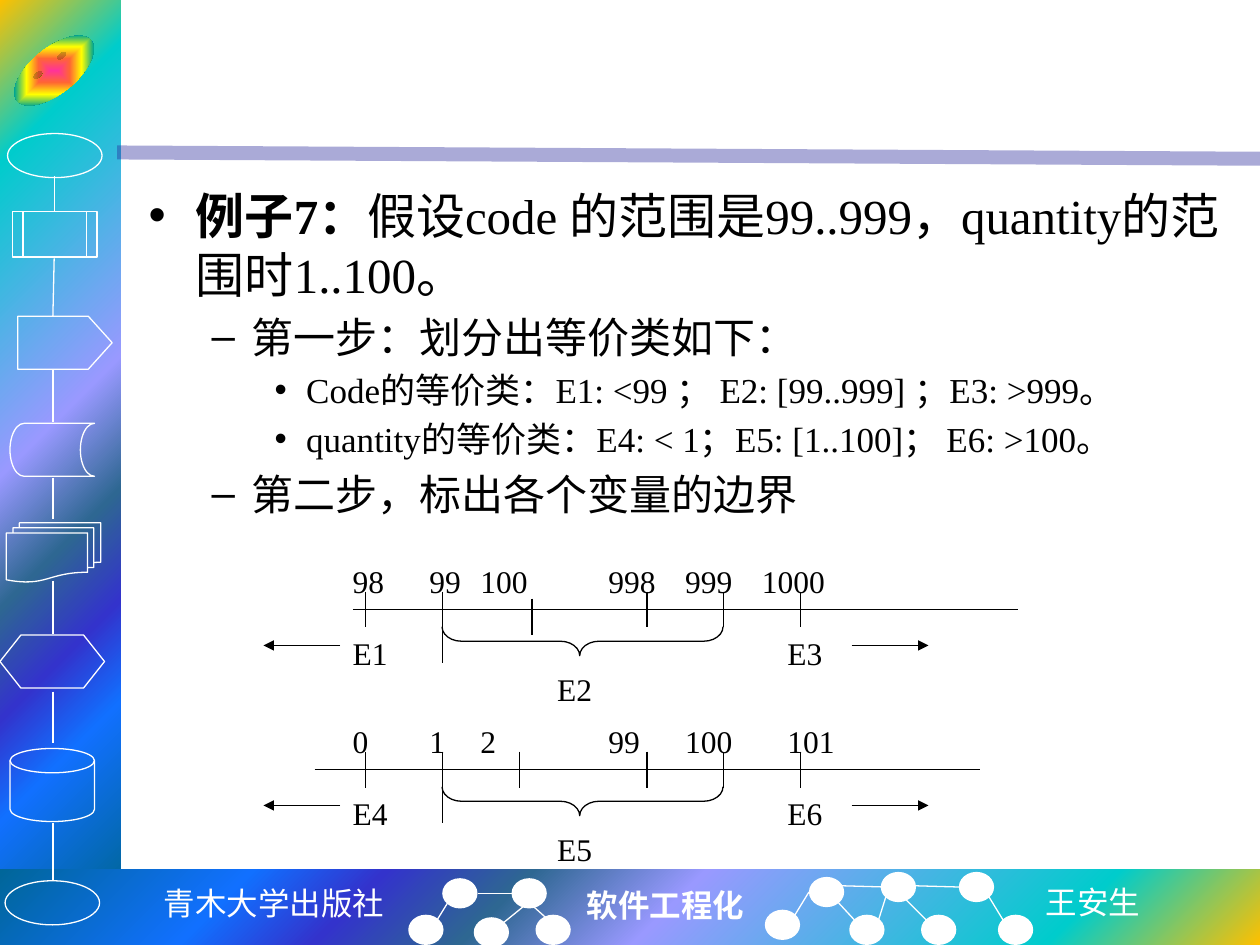
import pptx
import pptx.util
import pptx.oxml
import pptx.oxml.ns
import pptx.dml.color
import pptx.enum.shapes
import pptx.enum.text

RGBColor = pptx.dml.color.RGBColor
Kind = pptx.enum.shapes.MSO_SHAPE
Align = pptx.enum.text.PP_ALIGN
WHITE = RGBColor(0xFF, 0xFF, 0xFF)
BLACK = RGBColor(0, 0, 0)
RULE_BLUE = RGBColor(0x26, 0x26, 0x99)
RAINBOW = [(0, RGBColor(0xFF, 0xC0, 0x00)), (16, RGBColor(0x00, 0xCC, 0xCC)),
           (47, RGBColor(0x99, 0x99, 0xFF)), (60, RGBColor(0x2E, 0x67, 0x92)),
           (71, RGBColor(0x33, 0x33, 0xCC)), (81, RGBColor(0x11, 0x70, 0xFF)),
           (100, RGBColor(0x00, 0x66, 0x99))]
CANDY = [(0, RGBColor(0xFF, 0x33, 0x99)), (25, RGBColor(0xFF, 0x66, 0x33)),
         (50, RGBColor(0xFF, 0xFF, 0x00)), (75, RGBColor(0x01, 0xA7, 0x8F)),
         (100, RGBColor(0x33, 0x66, 0xFF))]
SERIF, SANS, MONO = "Times New Roman", "Noto Sans CJK SC", "Noto Sans Mono"
WIDTH, HEIGHT = pptx.util.Inches(10), pptx.util.Inches(7.5)
CELL = WIDTH / 10
AXIS_LEFT, AXIS_COLUMN, AXIS_ROW = 2.7, 4.06 / 20, 0.57 / 4


def cells(*values):
    return [round(value * CELL) for value in values]


def xml(tag, content="", **attributes):
    listed = "".join(f' {name}="{value}"' for name, value in attributes.items())
    return pptx.oxml.parse_xml(f"<a:{tag} {pptx.oxml.ns.nsdecls('a')}{listed}>{content}</a:{tag}>")


def add_figure(shapes, kind, box, fill=None, line=None):
    figure = shapes.add_shape(kind, *cells(*box))
    figure.shadow.inherit = False
    if fill is None:
        figure.fill.background()
    else:
        figure.fill.solid()
        figure.fill.fore_color.rgb = fill
    if line is None:
        figure.line.fill.background()
    else:
        figure.line.color.rgb = line
        figure.line.width = pptx.util.Pt(0.75)
    return figure


def set_gradient(figure, stops, style, left, top, right, bottom):
    figure.fill.background()
    marks = "".join(f'<a:gs pos="{share * 1000}"><a:srgbClr val="{color}"/></a:gs>'
                    for share, color in stops)
    focus = f'<a:fillToRect l="{left}000" t="{top}000" r="{right}000" b="{bottom}000"/>'
    gradient = xml("gradFill", f'<a:gsLst>{marks}</a:gsLst><a:path path="{style}">{focus}</a:path>',
                   rotWithShape=1)
    properties = figure.element.spPr
    properties.replace(properties.find(pptx.oxml.ns.qn("a:noFill")), gradient)


def add_line(shapes, start, end, color, width=0.75, arrow=False):
    line = shapes.add_connector(pptx.enum.shapes.MSO_CONNECTOR.STRAIGHT, *cells(*start, *end))
    line.line.color.rgb = color
    line.line.width = pptx.util.Pt(width)
    if arrow:
        line.line._get_or_add_ln().append(xml("tailEnd", type="triangle"))
    line.element.spPr.append(xml("effectLst"))
    return line


def add_span(para, words, size, font, color, bold=False):
    span = para.add_run()
    span.text = words
    span.font.size = pptx.util.Pt(size)
    span.font.name = font
    span.font.bold = bold
    span.font.color.rgb = color
    span.font._element.append(xml("ea", typeface=MONO if font == MONO else SANS))


def add_label(shapes, box, words, font=SERIF, color=BLACK, bold=False, wrap=True, align=Align.LEFT):
    label = shapes.add_textbox(*cells(*box))
    label.text_frame.word_wrap = wrap
    para = label.text_frame.paragraphs[0]
    para.alignment = align
    add_span(para, words, 18, font, color, bold)


def add_bands(shapes):
    for box, focus in [((0, 0, 0.96, 7.09), (0, 0, 100, 100)),
                       ((0, 6.9, 10, 0.6), (100, 100, 0, 0))]:
        set_gradient(add_figure(shapes, Kind.RECTANGLE, box), RAINBOW, "circle", *focus)
    rule = add_line(shapes, (0.93, 1.21), (10, 1.26), RULE_BLUE, 8)
    rule.line.color._xFill.find(pptx.oxml.ns.qn("a:srgbClr")).append(xml("alpha", val=39000))


def add_flowchart(shapes):
    symbols = [(Kind.OVAL, 0.06, 1.06, 0.75, 0.35),
               (Kind.FLOWCHART_PREDEFINED_PROCESS, 0.1, 1.68, 0.67, 0.36),
               (Kind.PENTAGON, 0.14, 2.51, 0.75, 0.42),
               (Kind.FLOWCHART_STORED_DATA, 0.08, 3.36, 0.67, 0.42),
               (Kind.FLOWCHART_MULTIDOCUMENT, 0.05, 4.15, 0.75, 0.47),
               (Kind.FLOWCHART_PREPARATION, 0, 5.04, 0.83, 0.42),
               (Kind.FLOWCHART_MAGNETIC_DISK, 0.08, 5.94, 0.67, 0.58),
               (Kind.OVAL, 0.04, 6.99, 0.75, 0.35)]
    for kind, *box in symbols:
        symbol = add_figure(shapes, kind, box, line=WHITE)
        if kind == Kind.PENTAGON:
            symbol.adjustments[0] = 0.45
    links = [(0.43, 1.4, 0.43, 1.68), (0.43, 2.05, 0.42, 2.51), (0.42, 2.93, 0.42, 3.35),
             (0.42, 3.79, 0.42, 4.12), (0.42, 4.61, 0.42, 5.03), (0.42, 5.49, 0.42, 5.9),
             (0.42, 6.53, 0.42, 6.99)]
    for link in links:
        add_line(shapes, link[:2], link[2:], WHITE)
    face = add_figure(shapes, Kind.SMILEY_FACE, (0.05, 0.38, 0.76, 0.36))
    set_gradient(face, CANDY, "shape", 50, 50, 50, 50)
    face.rotation = 321


def add_trees(shapes):
    nodes = [(3.51, 6.97), (4.06, 6.97), (3.24, 7.26), (3.76, 7.28), (4.25, 7.26),
             (6.07, 7.22), (6.42, 6.96), (6.99, 6.92), (7.61, 6.92),
             (6.74, 7.26), (7.31, 7.26), (7.92, 7.26)]
    for node in nodes:
        add_figure(shapes, Kind.OVAL, (*node, 0.28, 0.24), fill=WHITE)
    edges = [(3.47, 7.3, 3.55, 7.17), (4, 7.32, 4.16, 7.19), (4.06, 7.09, 3.79, 7.09),
             (4.34, 7.29, 4.24, 7.2), (6.78, 7.3, 6.65, 7.16), (7.35, 7.3, 7.15, 7.1),
             (7.96, 7.3, 7.85, 7.12), (6.97, 7.31, 7.03, 7.12), (7.26, 7.03, 7.61, 7.04),
             (6.31, 7.26, 6.42, 7.08), (6.68, 7.03, 7.03, 7.04)]
    for edge in edges:
        add_line(shapes, edge[:2], edge[2:], WHITE)


def add_footer(shapes):
    add_label(shapes, (1.19, 6.97, 1.97, 0.4), "青木大学出版社", MONO, WHITE,
              wrap=False, align=Align.CENTER)
    add_label(shapes, (4.56, 6.98, 1.46, 0.4), "软件工程化", SERIF, WHITE, True, False)
    add_label(shapes, (8.2, 6.96, 0.96, 0.4), "王安生", SANS, WHITE, wrap=False)


def fill_body(body):
    body.left, body.top, body.width, body.height = cells(1.08, 1.42, 8.75, 5.36)
    frame = body.text_frame
    frame.auto_size = pptx.enum.text.MSO_AUTO_SIZE.NONE
    items = [(0, [("例子7：", True), ("假设code 的范围是99..999，quantity的范围时1..100。", False)]),
             (1, [("第一步：划分出等价类如下：", False)]),
             (2, [("Code的等价类：E1: <99 ； E2: [99..999] ；E3: >999。", False)]),
             (2, [("quantity的等价类：E4: < 1；E5: [1..100]； E6: >100。", False)]),
             (1, [("第二步，标出各个变量的边界", False)])]
    for index, (level, spans) in enumerate(items):
        para = frame.add_paragraph() if index else frame.paragraphs[0]
        para.level = level
        for words, bold in spans:
            add_span(para, words, 28 - 4 * level, SERIF, BLACK, bold)


def add_axis(page, top, ends, values, last_column, second_tick, classes):
    shapes = page.shapes.add_group_shape().shapes

    def spot(column, row):
        return AXIS_LEFT + column * AXIS_COLUMN, top + row * AXIS_ROW

    add_line(shapes, spot(ends[0], 3), spot(ends[1], 3), BLACK)
    for column, value in zip((0, 3, 5, 10, 13, last_column), values):
        width = 0.81 if column == last_column else 0.61
        add_label(shapes, (*spot(column, 0), width, 0.42), value)
    for column, start, end in [(1, 2, 4), (4, 2, 6), second_tick, (12, 2, 4), (15, 2, 4), (18, 2, 4)]:
        add_line(shapes, spot(column, start), spot(column, end), BLACK)
    center, middle = spot(9.5, 4.8)
    brace = add_figure(shapes, Kind.LEFT_BRACE, (center - 0.12, middle - 1.12, 0.23, 2.23), line=BLACK)
    brace.rotation = 270
    brace.adjustments[0], brace.adjustments[1] = 0.67, 0.49
    for name, column, row in zip(classes, (0, 8, 17), (4, 6, 4)):
        add_label(shapes, (*spot(column, row), 0.61, 0.42), name)
    for start, end in [(0, -3), (20, 23)]:
        add_line(shapes, spot(start, 5), spot(end, 5), BLACK, arrow=True)


def main():
    deck = pptx.Presentation()
    deck.slide_width, deck.slide_height = WIDTH, HEIGHT
    page = deck.slides.add_slide(deck.slide_layouts[1])
    title, body = page.placeholders
    title.element.getparent().remove(title.element)
    add_bands(page.shapes)
    add_flowchart(page.shapes)
    add_trees(page.shapes)
    add_footer(page.shapes)
    fill_body(body)
    page.shapes._spTree.append(body.element)
    add_axis(page, 4.41, (0.5, 26.5), ("98", "99", "100", "998", "999", "1000"), 16,
             (7.5, 2.4, 4.4), ("E1", "E2", "E3"))
    add_axis(page, 5.68, (-1, 25), ("0", "1", "2", "99", "100", "101"), 17,
             (7, 2, 4), ("E4", "E5", "E6"))
    deck.save("out.pptx")


main()
